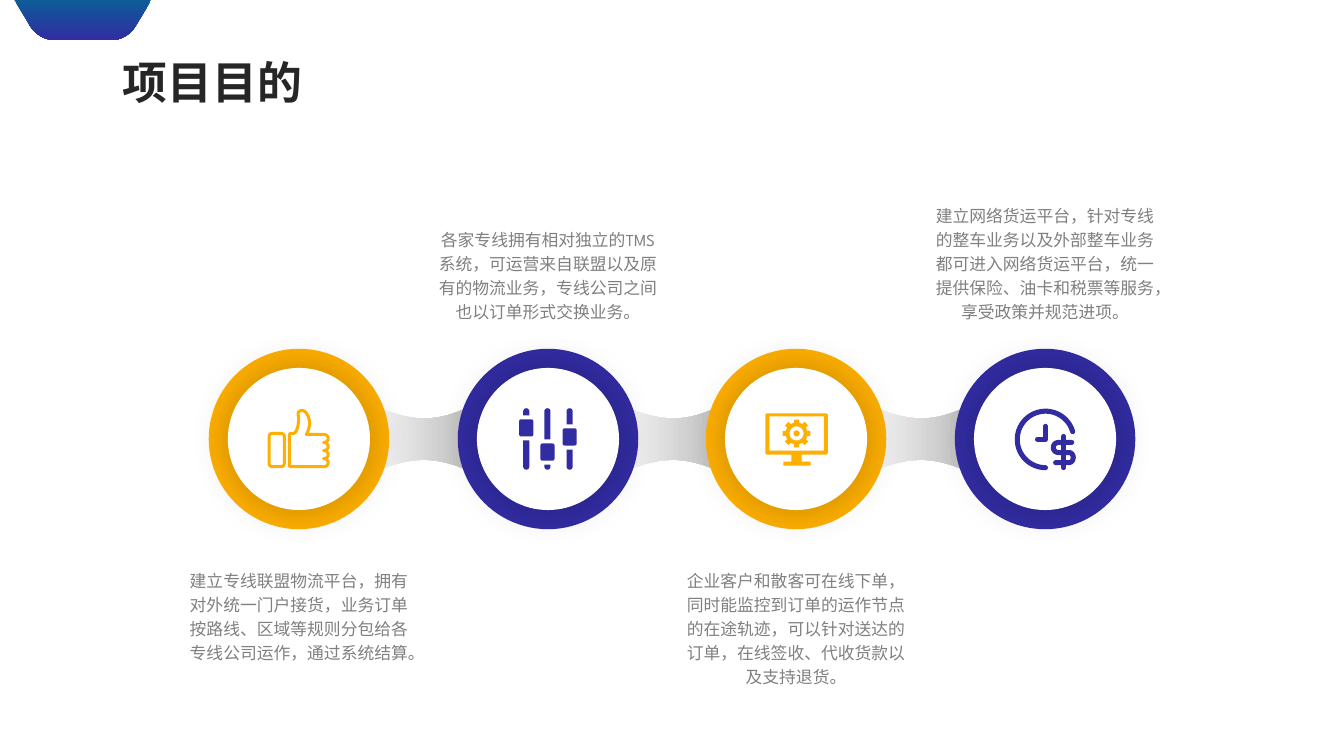
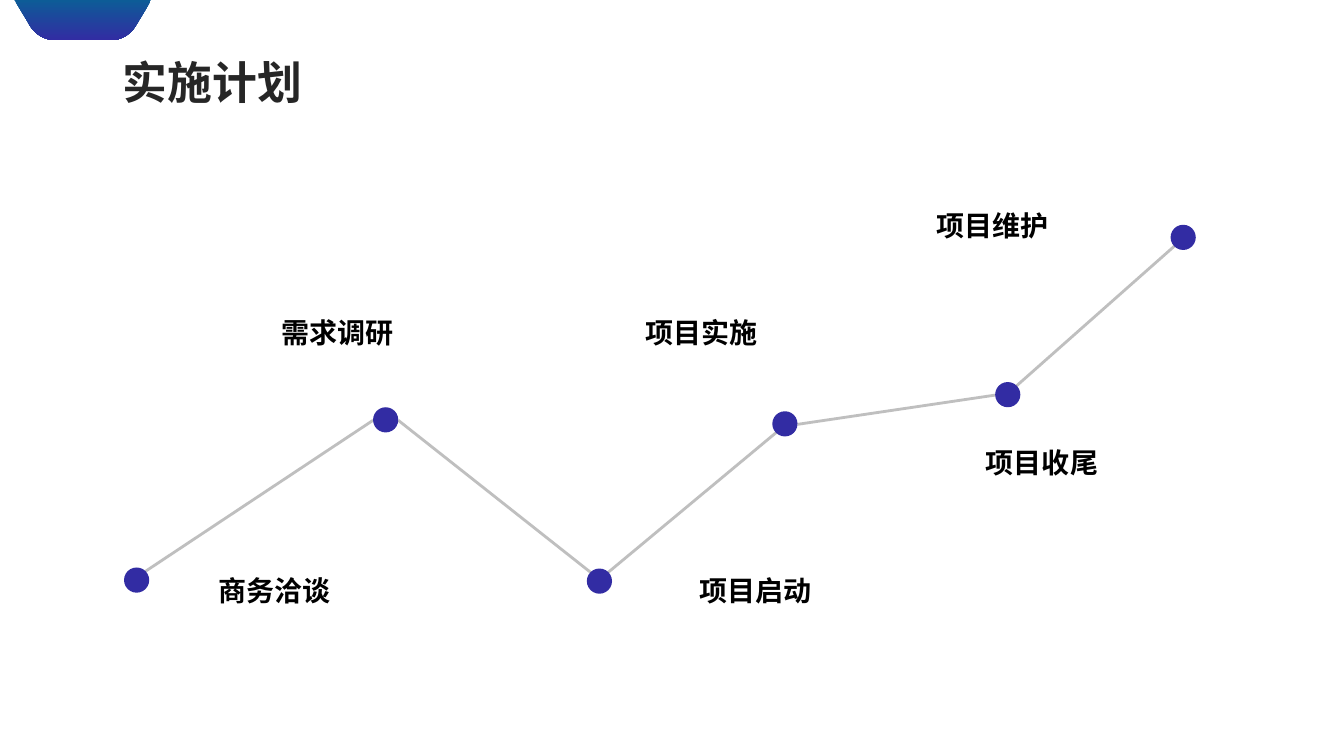
import math

import pptx
import pptx.dml.color
import pptx.enum.shapes
import pptx.enum.text
import pptx.oxml
import pptx.oxml.ns
import pptx.util

PX = 9144  # 100 px to the inch
COLORS = {
    "amber": "FEAF00", "indigo": "322CA3", "teal": "0D5C97", "white": "FFFFFF",
    "silver": "BFBFBF", "mist": "F2F2F2", "gray": "808080", "ink": "262626", "black": "000000",
}
CJK_FONT = "Noto Sans CJK SC"
OVAL = pptx.enum.shapes.MSO_SHAPE.OVAL
ALIGN = pptx.enum.text.PP_ALIGN

RING_TOP, RING_SIZE, RIM = 346, 179, 19
GOALS = [
    ("建立专线联盟物流平台，拥有对外统一门户接货，业务订单按路线、区域等规则分包给各专线公司运作，通过系统结算。", 557, 107),
    ("各家专线拥有相对独立的TMS系统，可运营来自联盟以及原有的物流业务，专线公司之间也以订单形式交换业务。", 219, 107),
    ("企业客户和散客可在线下单，同时能监控到订单的运作节点的在途轨迹，可以针对送达的订单，在线签收、代收货款以及支持退货。", 557, 131),
    ("建立网络货运平台，针对专线的整车业务以及外部整车业务都可进入网络货运平台，统一提供保险、油卡和税票等服务，享受政策并规范进项。", 195, 131),
]

DOT_SIZE = 25
DOTS = [(123, 563), (370, 404), (582, 564), (766, 408), (987, 379), (1161, 223)]
DOT_SITES = {"left": (0, 13), "right": (25, 13), "top left": (4, 4),
             "top right": (21, 4), "bottom left": (4, 21)}
LINKS = [("top right", "left"), ("right", "top left"), ("top right", "bottom left"),
         ("right", "left"), ("top right", "bottom left")]
STEPS = [("商务洽谈", 207, 564), ("需求调研", 269, 308), ("项目启动", 684, 564),
         ("项目实施", 630, 308), ("项目收尾", 968, 437), ("项目维护", 919, 202)]


def px(value):
    return pptx.util.Emu(round(value * PX))


def rgb(name):
    return pptx.dml.color.RGBColor.from_string(COLORS[name])


def paint(shape, fill=None, line=None, width=0, angle=0):
    """Fill with a colour name, a pair of names (gradient) or nothing; outline likewise."""
    shape.shadow.inherit = False
    if isinstance(fill, tuple):
        shape.fill.gradient()
        shape.fill.gradient_angle = angle
        for stop, name, position in zip(shape.fill.gradient_stops, fill, (0, 1)):
            stop.color.rgb = rgb(name)
            stop.position = position
    elif fill:
        shape.fill.solid()
        shape.fill.fore_color.rgb = rgb(fill)
    else:
        shape.fill.background()
    if line:
        shape.line.color.rgb = rgb(line)
        shape.line.width = px(width)
    else:
        shape.line.fill.background()
    return shape


def add_disc(page, left, top, size, fill):
    return paint(page.shapes.add_shape(OVAL, px(left), px(top), px(size), px(size)), fill)


def flatten(start, segments, steps=16):
    """Turn points (lines) and triples of points (cubic curves) into one list of points."""
    points = [start]
    for segment in segments:
        if not isinstance(segment[0], tuple):
            points.append(segment)
            continue
        corners = (points[-1],) + segment
        for step in range(1, steps + 1):
            t = step / steps
            weights = ((1 - t) ** 3, 3 * t * (1 - t) ** 2, 3 * t * t * (1 - t), t ** 3)
            points.append(tuple(sum(w * corner[axis] for w, corner in zip(weights, corners))
                                for axis in (0, 1)))
    return points


def arc(center, radius, degrees):
    return [(center[0] + radius * math.cos(math.radians(angle)),
             center[1] + radius * math.sin(math.radians(angle))) for angle in degrees]


def rounded_box(left, top, width, height, upper=0, lower=0):
    """Outline of a box with its own corner radius above and below."""
    right, bottom = left + width, top + height
    corners = [(right - upper, top + upper, upper, -90), (right - lower, bottom - lower, lower, 0),
               (left + lower, bottom - lower, lower, 90), (left + upper, top + upper, upper, 180)]
    return [point for x, y, radius, turn in corners
            for point in arc((x, y), radius, range(turn, turn + 91, 15))]


def add_outline(page, loops, origin=(0, 0), closed=True):
    places = [[(px(origin[0] + x), px(origin[1] + y)) for x, y in loop] for loop in loops]
    builder = page.shapes.build_freeform(*places[0][0], scale=1.0)
    for place in places:
        builder.move_to(*place[0])
        builder.add_line_segments(place[1:], close=closed)
    return builder.convert_to_shape()


def add_text(page, text, box, size, font, color, bold=False, align=ALIGN.JUSTIFY, spacing=None):
    frame = page.shapes.add_textbox(*map(px, box)).text_frame
    frame.word_wrap = True
    frame.auto_size = pptx.enum.text.MSO_AUTO_SIZE.SHAPE_TO_FIT_TEXT
    para = frame.paragraphs[0]
    para.text = text
    para.alignment = align
    para.line_spacing = spacing
    para.font.size = pptx.util.Pt(size)
    para.font.name = font
    para.font.bold = bold
    para.font.color.rgb = rgb(color)
    east_asian = pptx.oxml.parse_xml(
        f'<a:ea {pptx.oxml.ns.nsdecls("a")} typeface="{CJK_FONT}"/>')
    para._p.find(".//" + pptx.oxml.ns.qn("a:latin")).addnext(east_asian)


def add_glow(shape):
    """Give the shape a soft, centred shadow."""
    shadow = pptx.oxml.parse_xml(
        f'<a:outerShdw {pptx.oxml.ns.nsdecls("a")} blurRad="{pptx.util.Pt(28)}" algn="ctr" '
        f'rotWithShape="0"><a:srgbClr val="{COLORS["black"]}"><a:alpha val="22000"/>'
        '</a:srgbClr></a:outerShdw>')
    shape._element.spPr.find(pptx.oxml.ns.qn("a:effectLst")).append(shadow)


def add_page(deck, title):
    page = deck.slides.add_slide(deck.slide_layouts[6])
    tab = flatten((14, 0), [
        (150, 0), (146, 7), (135, 25), ((130, 34), (120, 40), (110, 40)), (56, 40),
        ((45, 40), (36, 35), (30, 26)), ((22, 12), (17, 5), (15, 1))])
    paint(add_outline(page, [tab]), ("teal", "indigo"), angle=270)
    add_text(page, title, (112, 49, 225, 64), 32, "Arial", "ink", bold=True)
    return page


def add_bridge(page, left):
    bridge = flatten((0, 0), [((37, 15), (58, 12), (86, 0)), (86, 61),
                              ((55, 48), (32, 48), (0, 61))])
    paint(add_outline(page, [bridge], (left, 405)), ("mist", "silver"))


def add_ring(page, left, color):
    add_disc(page, left, RING_TOP, RING_SIZE, color)
    add_glow(add_disc(page, left + RIM, RING_TOP + RIM, RING_SIZE - 2 * RIM, "white"))


def add_thumb_icon(page, origin, color):
    cuff = rounded_box(1, 25, 15, 33, 3, 3)
    knuckles = [((61, top), (61, top + 8), (55, top + 8)) for top in (26, 34, 42, 50)]
    hand = flatten((21, 29), [
        ((21, 25), (21, 25), (25, 25)), ((28, 25), (31, 16), (30, 8)),
        ((28, 1), (36, 1), (38, 5)), ((42, 11), (42, 18), (38, 26)), (55, 26),
        *knuckles, (25, 58), ((21, 58), (21, 58), (21, 54))])
    paint(add_outline(page, [cuff, hand], origin), line=color, width=3)


def add_sliders_icon(page, origin, color):
    loops = []
    for left, knob_top in ((2, 11), (23, 35), (45, 20)):
        bar_left, lower_top = left + 4, knob_top + 21
        loops += [rounded_box(left, knob_top, 14, 17, 2, 2),
                  rounded_box(bar_left, 0, 6, knob_top - 4, upper=3),
                  rounded_box(bar_left, lower_top, 6, 61 - lower_top, lower=3)]
    paint(add_outline(page, loops, origin), color)


def add_monitor_icon(page, origin, color):
    hub = (31, 25)
    gear = [point for tooth in range(0, 360, 45)
            for turn, radius in ((-13, 11), (-10, 14), (10, 14), (13, 11))
            for point in arc(hub, radius, [tooth + turn])]
    loops = [rounded_box(0, 5, 62, 41, 2, 2), rounded_box(4, 8, 54, 34), gear,
             arc(hub, 7, range(0, 360, 10)), arc(hub, 3, range(0, 360, 10)),
             rounded_box(26, 46, 10, 7), rounded_box(18, 53, 27, 4)]
    paint(add_outline(page, loops, origin), color)


def add_clock_icon(page, origin, color):
    dial = arc((31, 31), 28, range(-16, -271, -2))
    hands = [(31, 18), (31, 31), (23, 31)]
    dollar = flatten((57, 34), [(44, 34), ((37, 34), (37, 44), (44, 44)), (54, 44),
                                ((60, 44), (60, 54), (54, 54)), (41, 54)])
    loops = [dial, hands, dollar, [(49, 28), (49, 59)]]
    icon = paint(add_outline(page, loops, origin, closed=False), line=color, width=5)
    icon._element.spPr.find(pptx.oxml.ns.qn("a:ln")).set("cap", "rnd")


def build_goals(deck):
    page = add_page(deck, "项目目的")
    lefts = [207 + round(740 * index / 3) for index in range(len(GOALS))]
    for left in lefts[:-1]:
        add_bridge(page, left + 170)
    icons = (add_thumb_icon, add_sliders_icon, add_monitor_icon, add_clock_icon)
    for index, (left, add_icon, goal) in enumerate(zip(lefts, icons, GOALS)):
        color = ("amber", "indigo")[index % 2]
        add_ring(page, left, color)
        add_icon(page, (left + 59, 405), color)
        text, top, height = goal
        add_text(page, text, (left - 31, top, 241, height), 12, "League Spartan", "gray",
                 align=ALIGN.CENTER, spacing=1.2)


def add_link(page, start, end):
    line = page.shapes.add_connector(pptx.enum.shapes.MSO_CONNECTOR.STRAIGHT,
                                     *map(px, start + end))
    line.line.color.rgb = rgb("silver")
    line.line.width = pptx.util.Pt(2)
    line._element.spPr.append(
        pptx.oxml.parse_xml(f'<a:effectLst {pptx.oxml.ns.nsdecls("a")}/>'))


def dot_site(dot, site):
    return tuple(base + offset for base, offset in zip(dot, DOT_SITES[site]))


def build_plan(deck):
    page = add_page(deck, "实施计划")
    for start, end, (leave, arrive) in zip(DOTS, DOTS[1:], LINKS):
        add_link(page, dot_site(start, leave), dot_site(end, arrive))
    for left, top in DOTS:
        add_disc(page, left, top, DOT_SIZE, "indigo")
    for label, left, top in STEPS:
        add_text(page, label, (left, top, 159, 44), 20, CJK_FONT, "black", bold=True)


def main():
    deck = pptx.Presentation()
    deck.slide_width, deck.slide_height = px(1333), px(750)
    build_goals(deck)
    build_plan(deck)
    deck.save("out.pptx")


if __name__ == "__main__":
    main()
